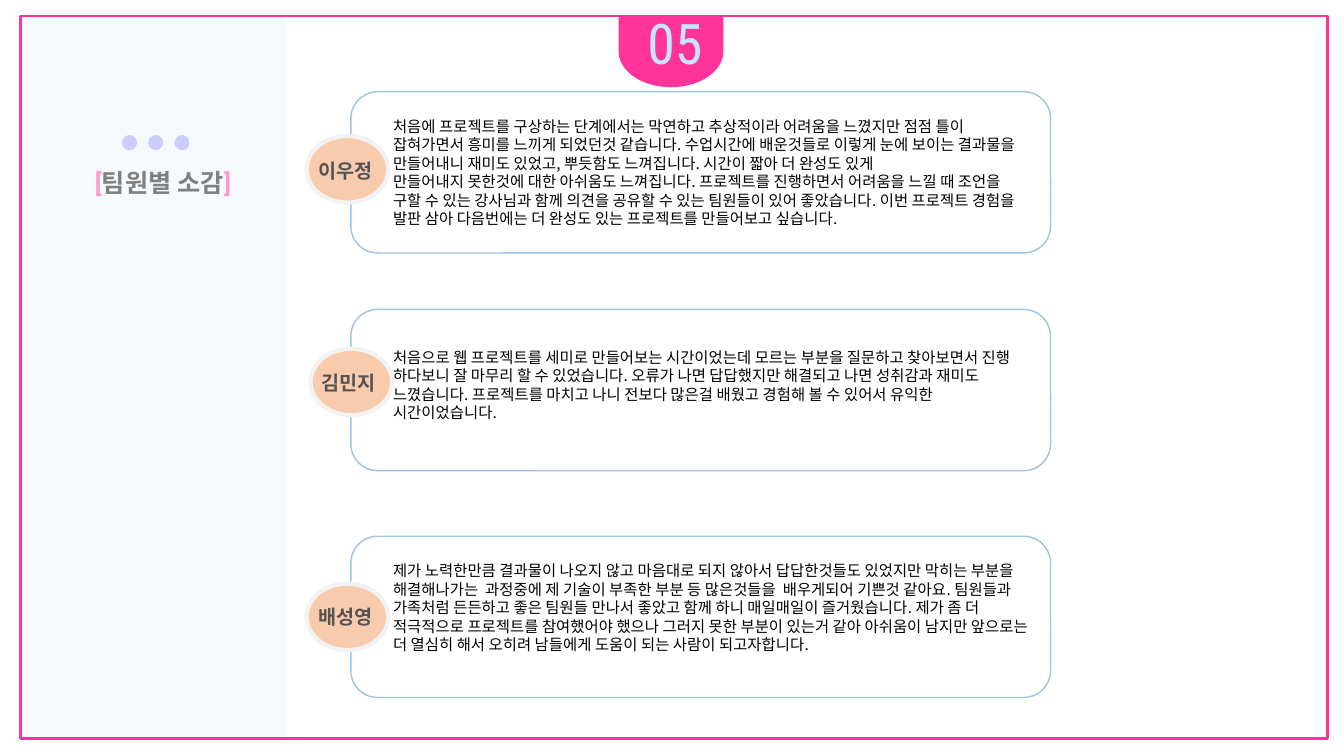
from dataclasses import dataclass

from lxml import etree
from pptx import Presentation
from pptx.dml.color import RGBColor
from pptx.enum.shapes import MSO_SHAPE
from pptx.enum.text import MSO_ANCHOR, MSO_AUTO_SIZE, PP_ALIGN
from pptx.oxml.ns import qn
from pptx.shapes.autoshape import Shape
from pptx.slide import Slide
from pptx.util import Emu, Pt

RECTANGLE = MSO_SHAPE.RECTANGLE
ROUNDED = MSO_SHAPE.ROUNDED_RECTANGLE
OVAL = MSO_SHAPE.OVAL
HALF_ROUND = MSO_SHAPE.FLOWCHART_DELAY
TOP, MIDDLE = MSO_ANCHOR.TOP, MSO_ANCHOR.MIDDLE
LEFT, CENTER = PP_ALIGN.LEFT, PP_ALIGN.CENTER
FIT_SHAPE, NO_FIT = MSO_AUTO_SIZE.SHAPE_TO_FIT_TEXT, MSO_AUTO_SIZE.NONE

PINK = RGBColor(0xFF, 0x33, 0x99)
LIGHT_PINK = RGBColor(0xFF, 0x99, 0xCC)
PALE_BLUE = RGBColor(0xDE, 0xEB, 0xF7)
SKY = RGBColor(0xC5, 0xE5, 0xFF)
LAVENDER = RGBColor(0xCC, 0xCC, 0xFF)
CARD_BLUE = RGBColor(0x9D, 0xC3, 0xE6)
PEACH = RGBColor(0xF8, 0xCB, 0xAD)
RING_GRAY = RGBColor(0xF2, 0xF2, 0xF2)
TITLE_GRAY = RGBColor(0x80, 0x80, 0x80)
NAME_GRAY = RGBColor(0x53, 0x53, 0x53)
BLACK = RGBColor(0, 0, 0)

KOREAN = "Noto Sans CJK KR"
EMU_PER_PX = 9144  # 100 px to the inch


@dataclass(frozen=True)
class Box:
    left: int
    top: int
    width: int
    height: int

    def emu(self) -> list[Emu]:
        return [Emu(v * EMU_PER_PX) for v in (self.left, self.top, self.width, self.height)]


@dataclass(frozen=True)
class Style:
    size: int
    font: str
    color: RGBColor
    bold: bool = False


@dataclass(frozen=True)
class Review:
    name: str
    card_top: int
    badge: tuple[int, int]
    label: tuple[int, int]
    text_top: int
    text_height: int
    paragraphs: list[str]


NUMBER_STYLE = Style(40, "Roboto Condensed", SKY)
BRACKET_STYLE = Style(18, "Roboto", LIGHT_PINK, True)
TITLE_STYLE = Style(18, "Roboto", TITLE_GRAY, True)
NAME_STYLE = Style(14, KOREAN, NAME_GRAY, True)
REVIEW_STYLE = Style(11, KOREAN, BLACK)

REVIEWS = [
    Review("이우정 ", 91, (304, 135), (300, 141), 111, 121, [
        "처음에 프로젝트를 구상하는 단계에서는 막연하고 추상적이라 어려움을 느꼈지만 점점 틀이 "
        "잡혀가면서 흥미를 느끼게 되었던것 같습니다. 수업시간에 배운것들로 이렇게 눈에 보이는 결과물을 "
        "만들어내니 재미도 있었고, 뿌듯함도 느껴집니다. 시간이 짧아 더 완성도 있게",
        "만들어내지 못한것에 대한 아쉬움도 느껴집니다. 프로젝트를 진행하면서 어려움을 느낄 때 조언을 "
        "구할 수 있는 강사님과 함께 의견을 공유할 수 있는 팀원들이 있어 좋았습니다. 이번 프로젝트 경험을 "
        "발판 삼아 다음번에는 더 완성도 있는 프로젝트를 만들어보고 싶습니다.",
    ]),
    Review("김민지 ", 307, (308, 346), (303, 351), 340, 84, [
        "처음으로 웹 프로젝트를 세미로 만들어보는 시간이었는데 모르는 부분을 질문하고 찾아보면서 진행 "
        "하다보니 잘 마무리 할 수 있었습니다. 오류가 나면 답답했지만 해결되고 나면 성취감과 재미도 "
        "느꼈습니다. 프로젝트를 마치고 나니 전보다 많은걸 배웠고 경험해 볼 수 있어서 유익한 "
        "시간이었습니다.",
    ]),
    Review("배성영 ", 532, (304, 579), (300, 583), 552, 121, [
        "제가 노력한만큼 결과물이 나오지 않고 마음대로 되지 않아서 답답한것들도 있었지만 막히는 부분을 "
        "해결해나가는  과정중에 제 기술이 부족한 부분 등 많은것들을  배우게되어 기쁜것 같아요. 팀원들과 "
        "가족처럼 든든하고 좋은 팀원들 만나서 좋았고 함께 하니 매일매일이 즐거웠습니다. 제가 좀 더 "
        "적극적으로 프로젝트를 참여했어야 했으나 그러지 못한 부분이 있는거 같아 아쉬움이 남지만 앞으로는 "
        "더 열심히 해서 오히려 남들에게 도움이 되는 사람이 되고자합니다.",
    ]),
]


def add_shape(page: Slide, kind: MSO_SHAPE, box: Box, fill: RGBColor | None = None,
              line: RGBColor | None = None, line_width: float = 1) -> Shape:
    shape = page.shapes.add_shape(kind, *box.emu())
    shape.shadow.inherit = False
    if fill is None:
        shape.fill.background()
    else:
        shape.fill.solid()
        shape.fill.fore_color.rgb = fill
    if line is None:
        shape.line.fill.background()
    else:
        shape.line.color.rgb = line
        shape.line.width = Pt(line_width)
    return shape


def set_opacity(shape: Shape, percent: int) -> None:
    color = shape.fill._xPr.find(qn("a:solidFill"))[0]
    etree.SubElement(color, qn("a:alpha"), val=str(percent * 1000))


def add_text(page: Slide, box: Box, paragraphs: list[list[tuple[str, Style]]],
             side_inset: int = 5, wrap: bool = True, anchor: MSO_ANCHOR = TOP,
             align: PP_ALIGN = LEFT, fit: MSO_AUTO_SIZE = FIT_SHAPE) -> None:
    """Add a text box whose paragraphs are lists of (text, style) spans."""
    frame = page.shapes.add_textbox(*box.emu()).text_frame
    frame.word_wrap = wrap
    frame.auto_size = fit
    frame.vertical_anchor = anchor
    frame.margin_left = frame.margin_right = Emu(side_inset * EMU_PER_PX)
    frame.margin_top = frame.margin_bottom = Emu(5 * EMU_PER_PX)
    for index, spans in enumerate(paragraphs):
        para = frame.add_paragraph() if index else frame.paragraphs[0]
        para.alignment = align
        for text, style in spans:
            span = para.add_run()
            span.text = text
            span.font.size = Pt(style.size)
            span.font.bold = style.bold
            span.font.color.rgb = style.color
            span.font.name = style.font
            etree.SubElement(span.font._element, qn("a:ea"), typeface=style.font)


def add_review(page: Slide, review: Review) -> None:
    add_shape(page, ROUNDED, Box(348, review.card_top, 694, 160), line=CARD_BLUE)
    add_shape(page, OVAL, Box(*review.badge, 81, 66), PEACH, RING_GRAY, 3)
    add_text(page, Box(*review.label, 90, 57), [[(review.name, NAME_STYLE)]],
             anchor=MIDDLE, align=CENTER, fit=NO_FIT)
    add_text(page, Box(380, review.text_top, 654, review.text_height),
             [[(text, REVIEW_STYLE)] for text in review.paragraphs], side_inset=10)


def main() -> None:
    deck = Presentation()
    deck.slide_width = Emu(1333 * EMU_PER_PX)
    deck.slide_height = Emu(750 * EMU_PER_PX)
    page = deck.slides.add_slide(deck.slide_layouts[6])

    sidebar = add_shape(page, RECTANGLE, Box(20, 18, 265, 715), PALE_BLUE)
    set_opacity(sidebar, 26)
    for column in range(3):
        add_shape(page, OVAL, Box(121 + 26 * column, 134, 15, 15), LAVENDER)
    add_shape(page, RECTANGLE, Box(20, 16, 1297, 717), line=PINK, line_width=2)
    number_tab = add_shape(page, HALF_ROUND, Box(630, -1, 71, 104), PINK)
    number_tab.rotation = 90
    add_text(page, Box(637, 4, 95, 77), [[("05", NUMBER_STYLE)]])
    add_text(page, Box(89, 161, 159, 40),
             [[("[", BRACKET_STYLE), ("팀원별 소감", TITLE_STYLE), ("]", BRACKET_STYLE)]],
             wrap=False)
    for review in REVIEWS:
        add_review(page, review)

    deck.save("out.pptx")


if __name__ == "__main__":
    main()
